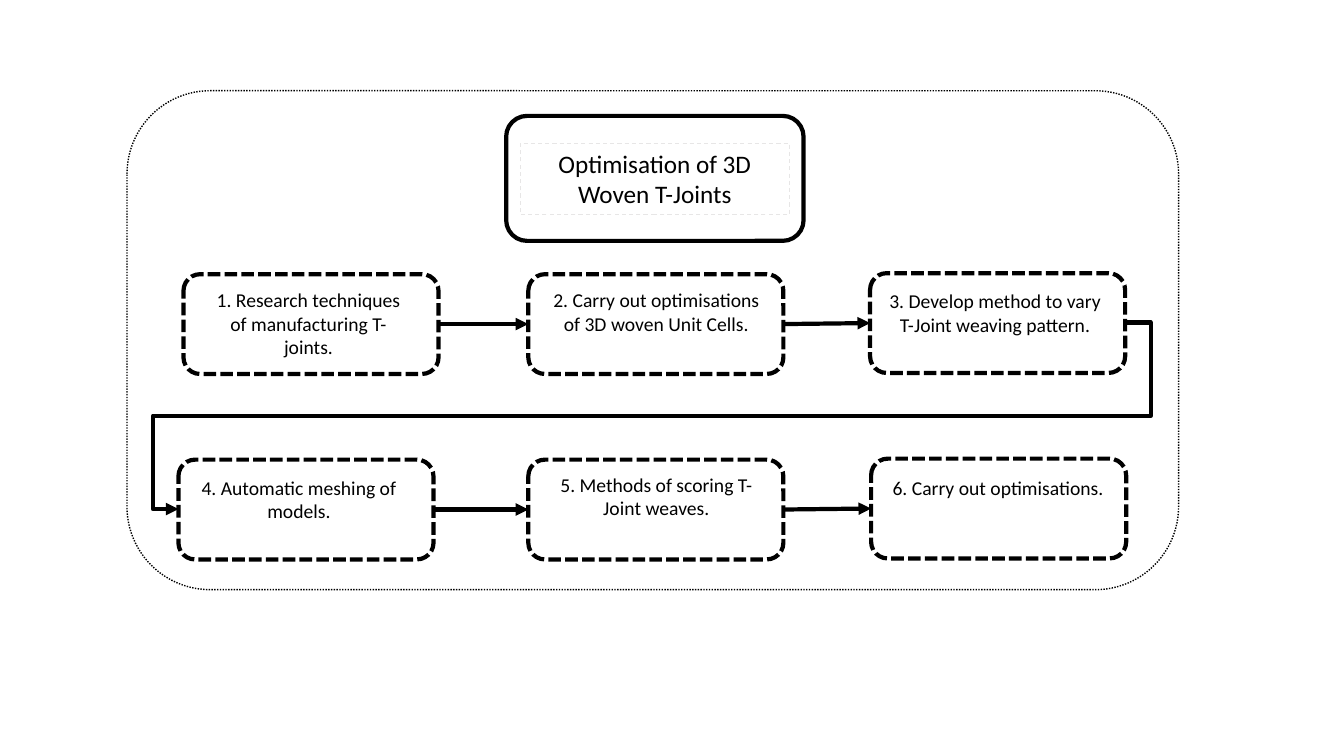
from lxml import etree
from pptx import Presentation
from pptx import util as u
from pptx.dml.color import RGBColor
from pptx.enum import dml, shapes, text
from pptx.oxml.ns import qn

PX = 9144
BLACK, GREY = "000000", "E7E6E6"
FRAME = (126, 90, 1043, 495)
TITLE_BOX = (502, 115, 295, 124)
TITLE_TEXT = (516, 142, 267, 71)
TITLE = "Optimisation of 3D Woven T-Joints"
STEP_SIZE = (253, 99)
STEPS = [
    ((182, 272), (195, 281, 222, 80), "1. Research techniques of manufacturing T-joints."),
    ((524, 272), (534, 281, 234, 57), "2. Carry out optimisations of 3D woven Unit Cells."),
    ((863, 271), (872, 282, 230, 46), "3. Develop method to vary T-Joint weaving pattern."),
    ((177, 456), (182, 467, 229, 46), "4. Automatic meshing of models."),
    ((524, 456), (534, 464, 234, 46), "5. Methods of scoring T-Joint weaves."),
    ((864, 455), (875, 467, 230, 27), "6. Carry out optimisations."),
]
STEPS_PER_ROW = 3
RETURN_BENDS = {"adj1": -2700, "adj2": 50000, "adj3": 102700}
LEFT, RIGHT = 1, 3


def colour(value):
    return RGBColor.from_string(value)


def px(values):
    return [value * PX for value in values]


def style_line(line, width, dash=None, value=BLACK):
    line.color.rgb = colour(value)
    line.width = u.Pt(width)
    if dash:
        line.dash_style = dash


def add_outline(page, bounds, width, dash=None, value=BLACK,
                kind=shapes.MSO_SHAPE.ROUNDED_RECTANGLE):
    box = page.shapes.add_shape(kind, *px(bounds))
    box.shadow.inherit = False
    box.fill.background()
    style_line(box.line, width, dash, value)
    return box


def write(box, words, size):
    frame = box.text_frame
    frame.word_wrap = True
    frame.auto_size = text.MSO_AUTO_SIZE.SHAPE_TO_FIT_TEXT
    frame.vertical_anchor = text.MSO_ANCHOR.TOP
    frame.text = words
    para = frame.paragraphs[0]
    para.alignment = text.PP_ALIGN.CENTER
    font = para.runs[0].font
    font.name, font.size = "Calibri", u.Pt(size)
    font.color.rgb = colour(BLACK)


def add_arrow(page, kind, start, end):
    arrow = page.shapes.add_connector(kind, *px(start + end))
    style_line(arrow.line, 3)
    etree.SubElement(arrow.line._get_or_add_ln(), qn("a:tailEnd"), type="triangle")
    etree.SubElement(arrow._element.spPr, qn("a:effectLst"))
    return arrow


def side_middle(corner, side):
    width, height = STEP_SIZE
    return (corner[0] + (width if side == RIGHT else 0), corner[1] + height // 2)


def bend_around(arrow, bends):
    geometry = arrow._element.spPr.find(qn("a:prstGeom"))
    geometry.set("prst", "bentConnector5")
    guides = geometry.find(qn("a:avLst"))
    for name, value in bends.items():
        etree.SubElement(guides, qn("a:gd"), name=name, fmla=f"val {value}")


def main():
    deck = Presentation()
    deck.slide_width, deck.slide_height = u.Inches(13.33), u.Inches(7.5)
    page = deck.slides.add_slide(deck.slide_layouts[6])

    add_outline(page, TITLE_BOX, 3)
    title = add_outline(page, TITLE_TEXT, 0.75, dml.MSO_LINE.DASH, GREY,
                        shapes.MSO_SHAPE.RECTANGLE)
    write(title, TITLE, 18)

    boxes = []
    for corner, label_bounds, words in STEPS:
        boxes.append(add_outline(page, corner + STEP_SIZE, 3, dml.MSO_LINE.SQUARE_DOT))
        write(page.shapes.add_textbox(*px(label_bounds)), words, 14)

    for index in range(1, len(STEPS)):
        start = side_middle(STEPS[index - 1][0], RIGHT)
        end = side_middle(STEPS[index][0], LEFT)
        if index % STEPS_PER_ROW:
            arrow = add_arrow(page, shapes.MSO_CONNECTOR.STRAIGHT, start, end)
            arrow.begin_connect(boxes[index - 1], RIGHT)
            arrow.end_connect(boxes[index], LEFT)
        else:
            arrow = add_arrow(page, shapes.MSO_CONNECTOR.ELBOW, start, end)
            bend_around(arrow, RETURN_BENDS)

    add_outline(page, FRAME, 1, dml.MSO_LINE.ROUND_DOT)
    deck.save("out.pptx")


if __name__ == "__main__":
    main()
